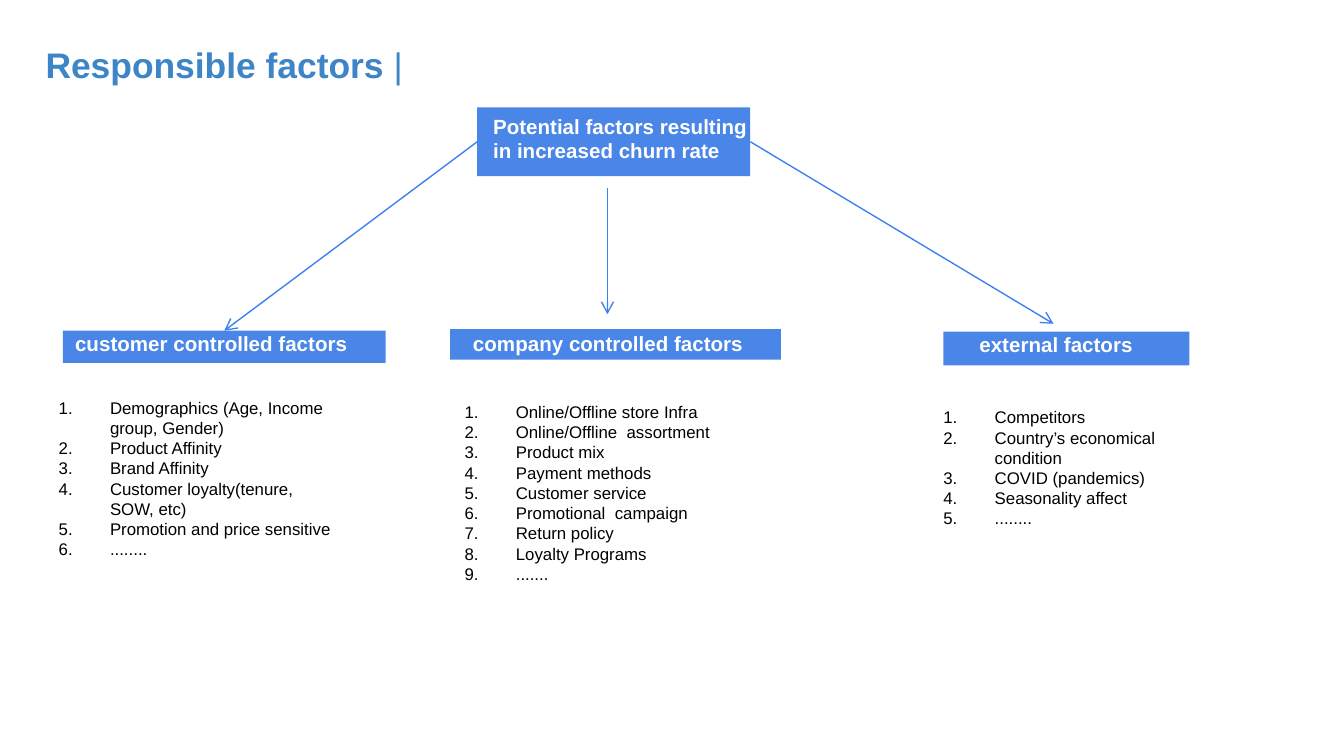
import pptx
import pptx.util
import pptx.dml.color
import pptx.enum.shapes
import pptx.enum.text
import pptx.oxml
import pptx.oxml.ns

Cm = pptx.util.Cm
RGBColor = pptx.dml.color.RGBColor
qn = pptx.oxml.ns.qn

TITLE_BLUE = RGBColor(0x3D, 0x85, 0xC6)
BOX_BLUE = RGBColor(0x4A, 0x86, 0xE8)
ARROW_BLUE = RGBColor(0x3C, 0x81, 0xF3)
WHITE = RGBColor(0xFF, 0xFF, 0xFF)
BLACK = RGBColor(0x00, 0x00, 0x00)

INSET = Cm(0.25)
LIST_INDENT = Cm(0.97)


def write(shape, *lines, size, color, bold=False, numbered=False, inset=True):
    """Fill a shape with one paragraph per line, numbered if asked."""
    frame = shape.text_frame
    frame.word_wrap = True
    frame.auto_size = pptx.enum.text.MSO_AUTO_SIZE.SHAPE_TO_FIT_TEXT
    frame.vertical_anchor = pptx.enum.text.MSO_ANCHOR.TOP
    if inset:
        frame.margin_left = frame.margin_right = INSET
        frame.margin_top = frame.margin_bottom = INSET
    for index, line in enumerate(lines):
        paragraph = frame.add_paragraph() if index else frame.paragraphs[0]
        paragraph.alignment = pptx.enum.text.PP_ALIGN.LEFT
        if numbered:
            properties = paragraph._p.get_or_add_pPr()
            properties.set("marL", str(LIST_INDENT))
            properties.set("indent", str(-LIST_INDENT))
            bullet_color = properties.makeelement(qn("a:buClr"), {})
            bullet_color.append(properties.makeelement(qn("a:srgbClr"), {"val": str(color)}))
            properties.append(bullet_color)
            properties.append(properties.makeelement(qn("a:buAutoNum"), {"type": "arabicPeriod"}))
        run = paragraph.add_run()
        run.text = line
        run.font.name = "Arial"
        run.font.size = pptx.util.Pt(size)
        run.font.bold = bold
        run.font.color.rgb = color
    return frame


def add_box(left, top, width, height):
    box = slide.shapes.add_shape(
        pptx.enum.shapes.MSO_SHAPE.RECTANGLE, Cm(left), Cm(top), Cm(width), Cm(height))
    box.shadow.inherit = False
    box.fill.solid()
    box.fill.fore_color.rgb = BOX_BLUE
    box.line.fill.background()
    return box


deck = pptx.Presentation()
deck.slide_width, deck.slide_height = Cm(25.4), Cm(14.29)
slide = deck.slides.add_slide(deck.slide_layouts[5])

title = slide.shapes.title
title.left, title.top, title.width, title.height = Cm(0.61), Cm(0.56), Cm(23.62), Cm(1.32)
title_frame = write(title, "Responsible factors ", size=19, color=TITLE_BLUE, bold=True)
title_bar = title_frame.paragraphs[0].add_run()
title_bar.text = "|"
title_bar.font.name = "Arial"
title_bar.font.size = pptx.util.Pt(19)
title_bar.font.bold = False
title_bar.font.color.rgb = TITLE_BLUE

churn_box = add_box(9.02, 2.03, 5.16, 1.3)
churn_label = slide.shapes.add_textbox(Cm(9.07), Cm(1.9), Cm(5.61), Cm(1.45))
write(churn_label, "Potential factors resulting in increased churn rate",
      size=11, color=WHITE, bold=True)

# Heading, its box, its label (left, top, width), its list (left, top, height), the factors
groups = [
    ("customer controlled factors", (1.19, 6.25, 6.1, 0.61), (1.17, 6.02, 6.38),
     (0.86, 7.39, 3.81),
     ["Demographics (Age, Income group, Gender)", "Product Affinity", "Brand Affinity",
      "Customer loyalty(tenure, SOW, etc)", "Promotion and price sensitive", "........"]),
    ("company controlled factors", (8.51, 6.22, 6.25, 0.58), (8.69, 6.02, 6.15),
     (8.53, 7.47, 3.71),
     ["Online/Offline store Infra", "Online/Offline  assortment", "Product mix",
      "Payment methods", "Customer service", "Promotional  campaign", "Return policy",
      "Loyalty Programs", "......."]),
    ("external factors", (17.83, 6.27, 4.65, 0.64), (18.26, 6.05, 6.15),
     (17.58, 7.57, 2.57),
     ["Competitors", "Country’s economical condition", "COVID (pandemics)",
      "Seasonality affect", "........"]),
]

group_boxes = []
for heading, box_place, (left, top, width), (list_left, list_top, list_height), factors in groups:
    group_boxes.append(add_box(*box_place))
    label = slide.shapes.add_textbox(Cm(left), Cm(top), Cm(width), Cm(0.99))
    write(label, heading, size=11, color=WHITE, bold=True)
    factor_list = slide.shapes.add_textbox(
        Cm(list_left), Cm(list_top), Cm(5.74), Cm(list_height))
    write(factor_list, *factors, size=9, color=BLACK, numbered=True, inset=False)

# Start, end, and the connection sites of the churn box and the group box, if joined
arrows = [
    ((9.02, 2.68), (4.24, 6.25), 1, 0),
    ((11.48, 3.56), (11.48, 5.94), None, None),
    ((14.18, 2.68), (19.91, 6.12), 3, None),
]
for (start, end, churn_site, group_site), group_box in zip(arrows, group_boxes):
    arrow = slide.shapes.add_connector(
        pptx.enum.shapes.MSO_CONNECTOR.STRAIGHT, *map(Cm, start + end))
    if churn_site is not None:
        arrow.begin_connect(churn_box, churn_site)
    if group_site is not None:
        arrow.end_connect(group_box, group_site)
    arrow.line.color.rgb = ARROW_BLUE
    arrow.line.width = pptx.util.Pt(0.75)
    line = arrow.line._get_or_add_ln()
    line.append(line.makeelement(qn("a:tailEnd"), {"type": "arrow"}))
    shape_properties = arrow._element.spPr
    shape_properties.append(shape_properties.makeelement(qn("a:effectLst"), {}))

deck.save("out.pptx")
